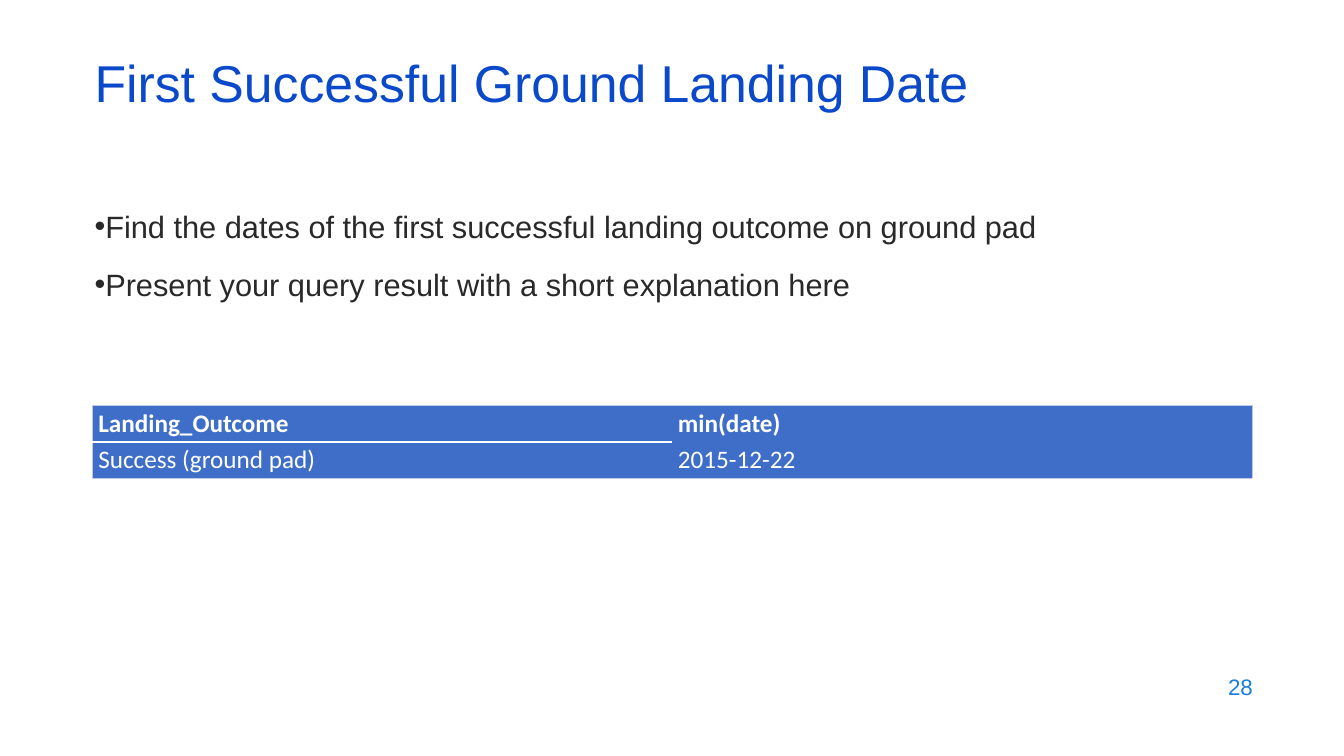
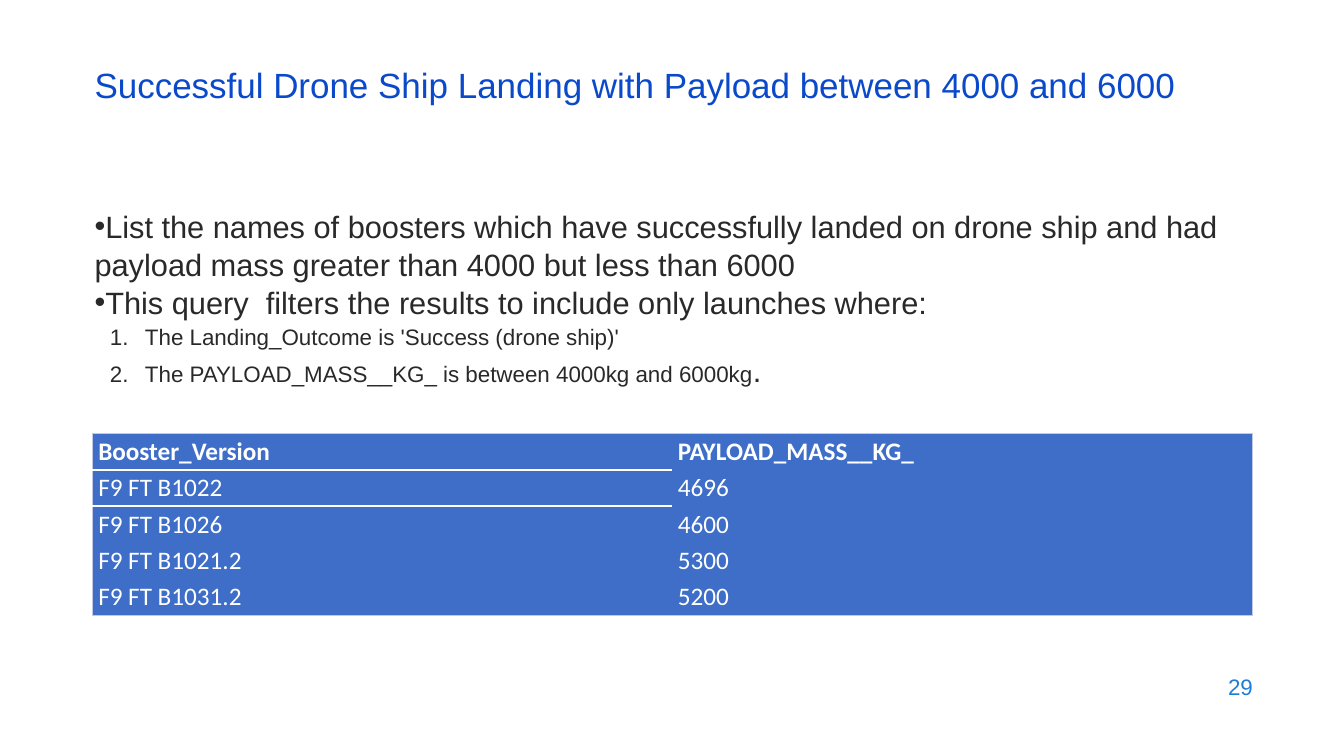
"""Build two slides of launch query results, each with a title, bullets and a table."""
from lxml import etree
from pptx import Presentation
from pptx.dml.color import RGBColor
from pptx.enum.text import MSO_ANCHOR, PP_ALIGN
from pptx.oxml.ns import qn
from pptx.util import Pt

MIDDLE = MSO_ANCHOR.MIDDLE
TOP = MSO_ANCHOR.TOP
RIGHT = PP_ALIGN.RIGHT
NO_STYLE_NO_GRID = "{2D5ABB26-0587-4C30-8999-92F81FD0307C}"

THEME = {
    "title": RGBColor.from_string("0B49CB"),
    "body": RGBColor.from_string("292929"),
    "number": RGBColor.from_string("1C7DDB"),
    "table_fill": RGBColor.from_string("3E6EC8"),
    "table_text": RGBColor.from_string("FFFFFF"),
    "table_edge": "C1C9E4",
    "header_rule": "FFFFFF",
    "font": "Arial",
    "table_font": "Calibri",
    "body_size": 22,
    "step_size": 16,
    "number_size": 16,
    "table_size": 18,
}
BODY, STEP = THEME["body_size"], THEME["step_size"]
TEXT_LEFT, TABLE_LEFT, CONTENT_WIDTH = 60.5, 66.2, 828
ROW_HEIGHT = 26

SLIDES = [
    {
        "number": "28",
        "title": "First Successful Ground Landing Date",
        "title_size": 37,
        "points": [
            ("bullet", 0, [("Find the dates of the first successful landing outcome on ground pad", BODY)]),
            ("bullet", 14, [("Present your query result with a short explanation here", BODY)]),
        ],
        "table_top": 289.5,
        "rows": [("Landing_Outcome", "min(date)"), ("Success (ground pad)", "2015-12-22")],
    },
    {
        "number": "29",
        "title": "Successful Drone Ship Landing with Payload between 4000 and 6000",
        "title_size": 25,
        "points": [
            ("bullet", 0, [("List the names of boosters which have successfully landed on drone ship "
                            "and had payload mass greater than 4000 but less than 6000", BODY)]),
            ("bullet", 0, [("This query  filters the results to include only launches where:", BODY)]),
            ("step", 1, [("The Landing_Outcome is 'Success (drone ship)'", STEP)]),
            ("step", 1, [("The PAYLOAD_MASS__KG_ is between 4000kg and 6000kg", STEP), (".", BODY)]),
        ],
        "table_top": 309.6,
        "rows": [
            ("Booster_Version", "PAYLOAD_MASS__KG_"),
            ("F9 FT B1022", "4696"),
            ("F9 FT B1026", "4600"),
            ("F9 FT B1021.2", "5300"),
            ("F9 FT B1031.2", "5200"),
        ],
    },
]


def add_text_frame(slide, left, top, width, height, anchor):
    box = slide.shapes.add_textbox(Pt(left), Pt(top), Pt(width), Pt(height))
    box.text_frame.word_wrap = True
    box.text_frame.vertical_anchor = anchor
    return box.text_frame


def format_font(font, name, size, color):
    font.name = name
    font.size = Pt(size)
    font.color.rgb = color


prs = Presentation()
prs.slide_width, prs.slide_height = Pt(960), Pt(540)
blank = prs.slide_layouts[6]

for content in SLIDES:
    slide = prs.slides.add_slide(blank)

    page_number = add_text_frame(slide, 686, 474.5, 216, 31.7, MIDDLE)
    page_number.text = content["number"]
    page_number.paragraphs[0].alignment = RIGHT
    format_font(page_number.paragraphs[0].runs[0].font, THEME["font"], THEME["number_size"], THEME["number"])

    title = add_text_frame(slide, TEXT_LEFT, 42.5, CONTENT_WIDTH, 43.2, MIDDLE)
    title.text = content["title"]
    title.paragraphs[0].line_spacing = 0.7
    format_font(title.paragraphs[0].runs[0].font, THEME["font"], content["title_size"], THEME["title"])

    body = add_text_frame(slide, TEXT_LEFT, 144, CONTENT_WIDTH, 150, TOP)
    for index, (kind, space_before, pieces) in enumerate(content["points"]):
        point = body.add_paragraph() if index else body.paragraphs[0]
        point.line_spacing = 1.03
        if space_before:
            point.space_before = Pt(space_before)
        properties = point._p.get_or_add_pPr()
        if kind == "step":
            properties.set("marL", str(Pt(36)))
            properties.set("indent", str(Pt(-25)))
            etree.SubElement(properties, qn("a:buFont"), typeface="+mj-lt")
            etree.SubElement(properties, qn("a:buAutoNum"), type="arabicPeriod")
        else:
            properties.set("marL", "0")
            properties.set("indent", "0")
            etree.SubElement(properties, qn("a:buFont"), typeface=THEME["font"])
            etree.SubElement(properties, qn("a:buChar"), char="•")
        for text, size in pieces:
            run = point.add_run()
            run.text = text
            format_font(run.font, THEME["font"], size, THEME["body"])

    rows = content["rows"]
    last_row, last_column = len(rows) - 1, len(rows[0]) - 1
    table = slide.shapes.add_table(
        len(rows), len(rows[0]), Pt(TABLE_LEFT), Pt(content["table_top"]),
        Pt(CONTENT_WIDTH), Pt(ROW_HEIGHT * len(rows))).table
    table.horz_banding = False
    table._tbl.tblPr.find(qn("a:tableStyleId")).text = NO_STYLE_NO_GRID
    for r, values in enumerate(rows):
        table.rows[r].height = Pt(ROW_HEIGHT)
        for c, value in enumerate(values):
            cell = table.cell(r, c)
            cell.text = value
            cell.vertical_anchor = MIDDLE
            cell.margin_left = cell.margin_right = Pt(4)
            cell.margin_top = cell.margin_bottom = Pt(2)
            font = cell.text_frame.paragraphs[0].runs[0].font
            format_font(font, THEME["table_font"], THEME["table_size"], THEME["table_text"])
            font.bold = r == 0

            edge, rule = (THEME["table_edge"], 0.5), (THEME["header_rule"], 1.5)
            header_label = r == 0 and c == 0
            borders = [
                ("a:lnL", edge if c == 0 else None),
                ("a:lnR", edge if c == last_column else None),
                ("a:lnT", edge if r == 0 else rule if r == 1 and c == 0 else None),
                ("a:lnB", rule if header_label else edge if r == last_row else None),
            ]
            for tag, border in borders:
                if border:
                    color, width = border
                    line = etree.SubElement(cell._tc.get_or_add_tcPr(), qn(tag), w=str(Pt(width)))
                    fill = etree.SubElement(line, qn("a:solidFill"))
                    etree.SubElement(fill, qn("a:srgbClr"), val=color)
            cell.fill.solid()
            cell.fill.fore_color.rgb = THEME["table_fill"]

prs.save("out.pptx")
